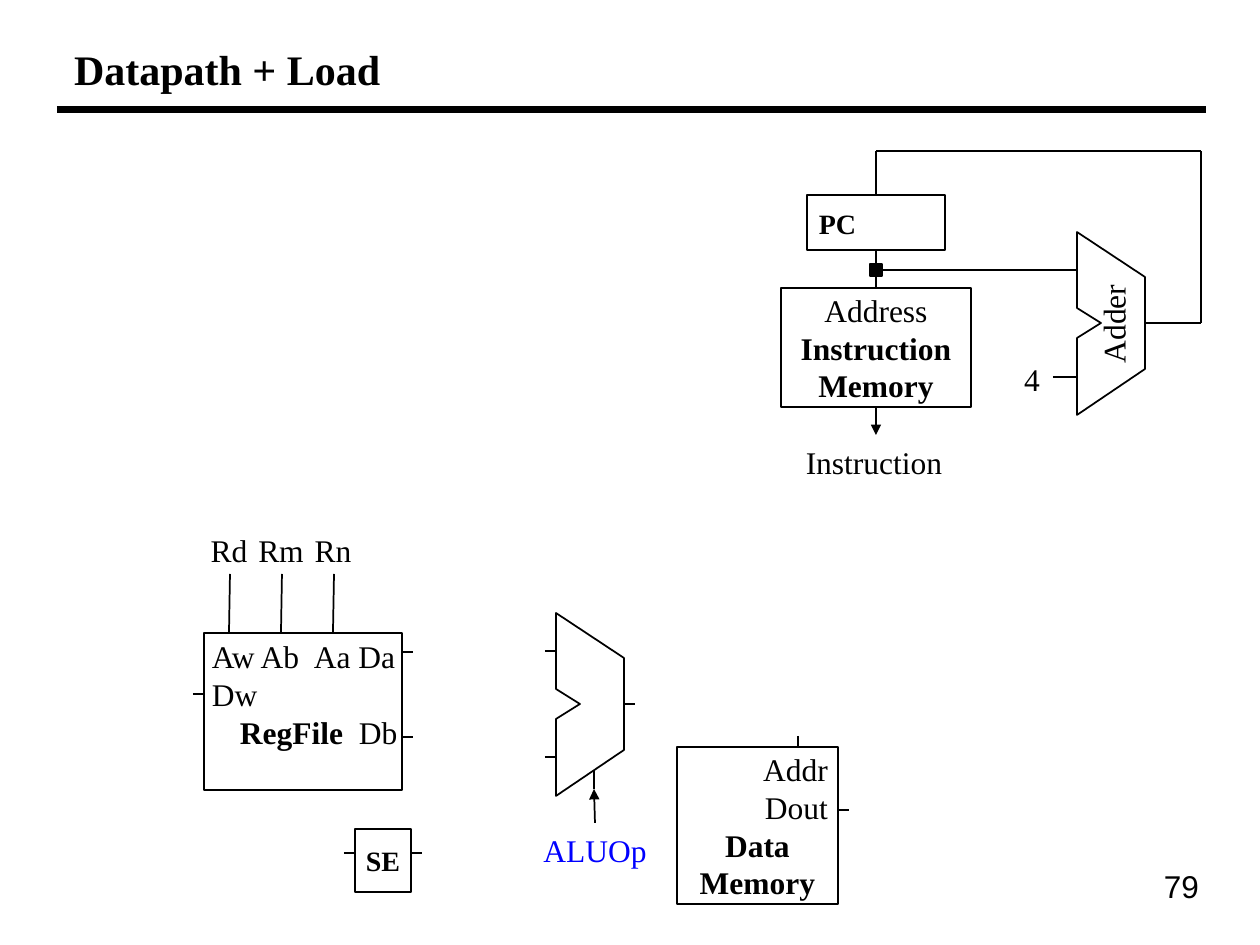
import pptx
import pptx.dml.color
import pptx.enum.shapes
import pptx.enum.text
import pptx.oxml.ns
import pptx.util
import lxml.etree

SCALE = 914400 / 126
SERIF = "Times New Roman"
BLACK, WHITE, BLUE = "000000", "FFFFFF", "0000FF"
ALIGN = pptx.enum.text.PP_ALIGN
ANCHOR = pptx.enum.text.MSO_ANCHOR
RECT = pptx.enum.shapes.MSO_SHAPE.RECTANGLE
BOLD = {"bold": True}


def px(*nums):
    return [pptx.util.Emu(round(n * SCALE)) for n in nums]


def color(code):
    return pptx.dml.color.RGBColor.from_string(code)


def sub(node, tag, **attrs):
    return lxml.etree.SubElement(node, pptx.oxml.ns.qn(tag), **attrs)


class Sketch:
    def __init__(self, slide):
        self.slide = slide
        self.shapes = slide.shapes
        self.font = {"name": SERIF, "size": 18, "bold": False}

    def letter(self, shape, paras, pad=(0, 0, 0, 0), anchor=ANCHOR.MIDDLE,
               ink=BLACK, **style):
        """Each paragraph is (alignment, tab stops, runs); a run is (text, format)."""
        frame = shape.text_frame
        sides = ("margin_left", "margin_top", "margin_right", "margin_bottom")
        values = dict(zip(sides, px(*pad)), vertical_anchor=anchor, word_wrap=True,
                      auto_size=pptx.enum.text.MSO_AUTO_SIZE.NONE)
        for key, value in values.items():
            setattr(frame, key, value)
        for i, (align, tabs, runs) in enumerate(paras):
            para = frame.add_paragraph() if i else frame.paragraphs[0]
            para.alignment = align
            if tabs:
                stops = sub(para._p.get_or_add_pPr(), "a:tabLst")
                for pos in px(*tabs):
                    sub(stops, "a:tab", pos=str(pos), algn="l")
            for text, extra in runs:
                run = para.add_run()
                run.text = text
                for key, value in {**self.font, **style, **extra}.items():
                    setattr(run.font, key, pptx.util.Pt(value) if key == "size" else value)
                run.font.color.rgb = color(ink)

    def paint(self, shape, fill=WHITE):
        shape.shadow.inherit = False
        shape.fill.solid()
        shape.fill.fore_color.rgb = color(fill)
        shape.line.color.rgb = color(BLACK)
        shape.line.width = pptx.util.Pt(1)
        return shape

    def title(self, text, *area):
        shape = self.shapes.title
        shape.left, shape.top, shape.width, shape.height = px(*area)
        self.letter(shape, [(ALIGN.LEFT, (), [(text, BOLD)])], (12, 6, 12, 6), size=24)

    def box(self, *area, fill=WHITE):
        return self.paint(self.shapes.add_shape(RECT, *px(*area)), fill)

    def label(self, text, *area, align=ALIGN.CENTER, turn=0, **style):
        shape = self.shapes.add_textbox(*px(*area))
        shape.rotation = turn
        self.letter(shape, [(align, (), [(text, {})])], **style)

    def adder(self, x, y):
        """Notched outline of an adder, with its top left corner at x, y."""
        dots = [(x + 68, y + 45), (x + 68, y + 137), (x, y + 183),
                (x, y + 106), (x + 24, y + 91), (x, y + 76)]
        build = self.shapes.build_freeform(x, y, scale=SCALE)
        build.add_line_segments(dots, close=True)
        self.paint(build.convert_to_shape())

    def wire(self, start, end, width=1, arrow=False):
        """An end is a point, or a shape with the number of its side."""
        spots = [p if isinstance(p[0], int) else (0, 0) for p in (start, end)]
        kind = pptx.enum.shapes.MSO_CONNECTOR.STRAIGHT
        line = self.shapes.add_connector(kind, *px(*spots[0], *spots[1]))
        for spot, join in ((start, line.begin_connect), (end, line.end_connect)):
            if not isinstance(spot[0], int):
                join(*spot)
        line.line.color.rgb = color(BLACK)
        line.line.width = pptx.util.Pt(width)
        if arrow:
            sub(line.get_or_add_ln(), "a:tailEnd", type="triangle")
        sub(line.element.spPr, "a:effectLst")

    def route(self, *spots):
        for start, end in zip(spots, spots[1:]):
            self.wire(start, end)


def lines(*rows):
    return [(align, (), [(text, form)]) for align, text, form in rows]


def fetch(art):
    """Program counter, instruction memory and the adder that steps by 4."""
    counter = art.box(807, 195, 138, 55)
    art.letter(counter, lines((ALIGN.LEFT, "PC", BOLD)), (12, 2, 0, 0), size=16)
    memory = art.box(781, 288, 190, 119)
    art.letter(memory, lines((ALIGN.CENTER, "Address", {}),
                             (ALIGN.CENTER, "Instruction", BOLD),
                             (ALIGN.CENTER, "Memory", BOLD)))
    node = art.box(870, 264, 12, 12, fill=BLACK)
    art.adder(1077, 232)
    art.label("Adder", 1068, 304, 90, 40, turn=270)
    art.label("4", 1012, 354, 40, 50)
    art.label("Instruction", 794, 437, 160, 50)
    art.wire((counter, 2), (node, 0))
    art.wire((node, 2), (memory, 0))
    art.wire((node, 3), (1077, 270))
    art.wire((1053, 377), (1077, 377))
    art.wire((memory, 2), (876, 435), arrow=True)
    art.route((1145, 323), (1201, 323), (1201, 151), (876, 151), (counter, 0))


def execute(art):
    """Register file, sign extender, ALU and data memory."""
    regs = art.box(204, 633, 198, 157)
    art.letter(regs, [(ALIGN.LEFT, (102,), [("Aw Ab\tAa Da", {})]),
                      (ALIGN.LEFT, (), [("Dw", {})]),
                      (ALIGN.LEFT, (28, 147), [("\tRegFile\t", BOLD), ("Db", {})])],
               (8, 4, 0, 0), ANCHOR.TOP)
    for i, name in enumerate(("Rd", "Rm", "Rn")):
        x = 229 + 52 * i
        art.label(name, x - 30, 525, 60, 50)
        art.wire((x + 1, 574), (x, 633))

    memory = art.box(677, 747, 161, 157)
    art.letter(memory, lines((ALIGN.RIGHT, "Addr", {}), (ALIGN.RIGHT, "Dout", {}),
                             (ALIGN.CENTER, "Data", BOLD), (ALIGN.CENTER, "Memory", BOLD)),
               (10, 0, 10, 0))
    art.wire((798, 736), (798, 747))

    extend = art.box(355, 829, 56, 63)
    art.letter(extend, lines((ALIGN.CENTER, "SE", BOLD)), size=16)

    art.adder(556, 613)
    art.label("ALUOp", 530, 825, 130, 50, ink=BLUE)
    art.wire((594, 771), (594, 789))
    art.wire((595, 823), (594, 789), arrow=True)

    stubs = [(193, 694), (402, 652), (402, 737), (838, 810), (344, 853),
             (411, 853), (545, 651), (545, 757), (624, 704)]
    for x, y in stubs:
        art.wire((x, y), (x + 11, y))


def main():
    deck = pptx.Presentation()
    deck.slide_width, deck.slide_height = px(1260, 945)
    art = Sketch(deck.slides.add_slide(deck.slide_layouts[5]))
    art.wire((57, 110), (1206, 110), width=4)
    art.title("Datapath + Load", 62, 32, 1139, 73)
    art.label("79", 953, 861, 258, 62, align=ALIGN.RIGHT, name="Arial",
              pad=(12, 6, 12, 6), anchor=ANCHOR.TOP)
    fetch(art)
    execute(art)
    deck.save("out.pptx")


if __name__ == "__main__":
    main()
